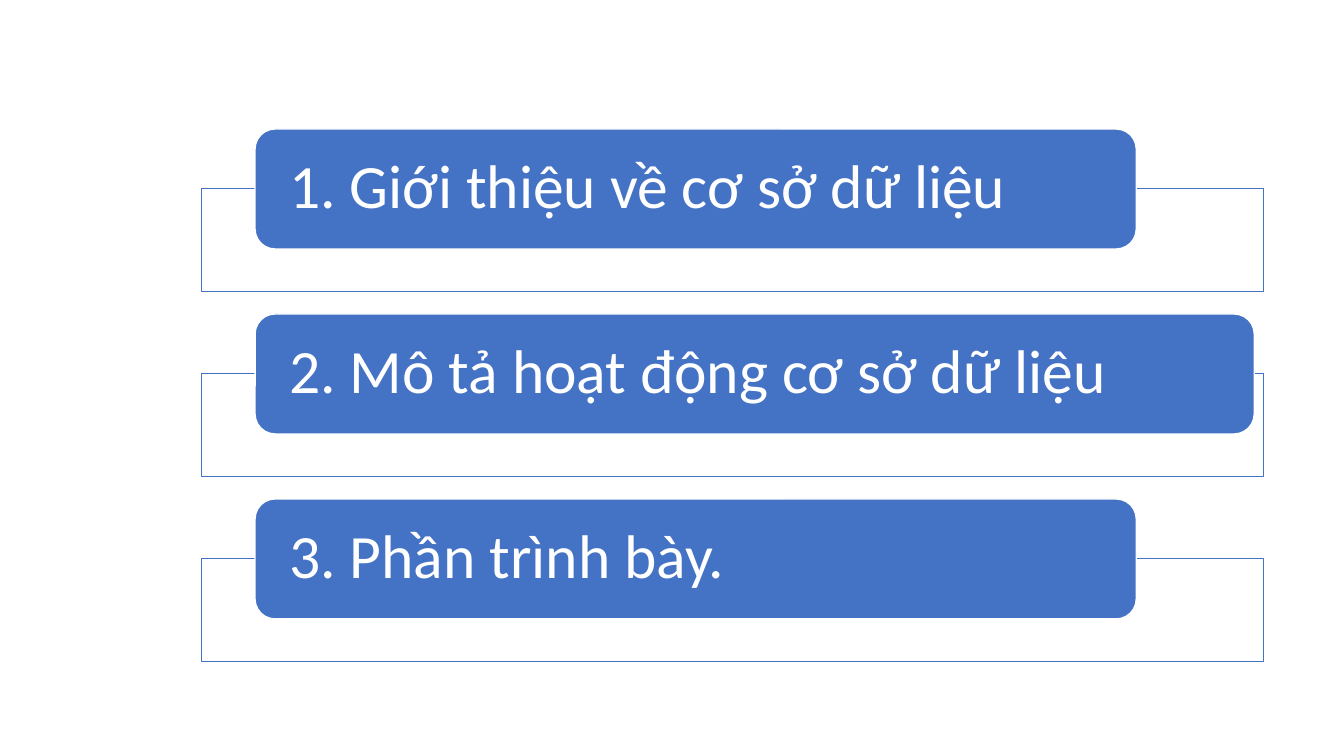
from dataclasses import dataclass

from pptx import Presentation
from pptx.dml.color import RGBColor
from pptx.enum.shapes import MSO_SHAPE
from pptx.enum.text import MSO_ANCHOR, PP_ALIGN
from pptx.shapes.autoshape import Shape
from pptx.slide import Slide
from pptx.util import Inches, Pt

BLUE = "4472C4"
WHITE = "FFFFFF"
FIRST_TOP = 1.28
ROW_STEP = 1.835
FRAME_DROP = 0.59


@dataclass
class Topic:
    text: str
    width: float


TOPICS = [
    Topic("1. Giới thiệu về cơ sở dữ liệu", 8.74),
    Topic("2. Mô tả hoạt động cơ sở dữ liệu", 9.91),
    Topic("3. Phần trình bày.", 8.74),
]


def color(value: str) -> RGBColor:
    return RGBColor.from_string(value)


def add_panel(page: Slide, kind: MSO_SHAPE, left: float, top: float,
              width: float, height: float, fill: str, line: str) -> Shape:
    panel = page.shapes.add_shape(
        kind, Inches(left), Inches(top), Inches(width), Inches(height))
    panel.shadow.inherit = False
    panel.fill.solid()
    panel.fill.fore_color.rgb = color(fill)
    panel.line.color.rgb = color(line)
    panel.line.width = Pt(1)
    return panel


def write_text(box: Shape, text: str, *, size: float, ink: str,
               font: str = "Calibri", inset: float = 0.28) -> None:
    frame = box.text_frame
    frame.word_wrap = True
    frame.vertical_anchor = MSO_ANCHOR.MIDDLE
    frame.margin_left = frame.margin_right = Inches(inset)
    frame.margin_top = frame.margin_bottom = Inches(0)
    para = frame.paragraphs[0]
    para.alignment = PP_ALIGN.LEFT
    para.line_spacing = 0.9
    span = para.add_run()
    span.text = text
    span.font.name = font
    span.font.size = Pt(size)
    span.font.color.rgb = color(ink)


def add_topic(page: Slide, topic: Topic, top: float) -> None:
    add_panel(page, MSO_SHAPE.RECTANGLE, 2, top + FRAME_DROP, 10.53, 1.02,
              WHITE, BLUE)
    label = add_panel(page, MSO_SHAPE.ROUNDED_RECTANGLE, 2.53, top,
                      topic.width, 1.19, BLUE, WHITE)
    write_text(label, topic.text, size=44, ink=WHITE)


deck = Presentation()
deck.slide_width = Inches(13.33)
deck.slide_height = Inches(7.5)
page = deck.slides.add_slide(deck.slide_layouts[6])
for row, topic in enumerate(TOPICS):
    add_topic(page, topic, FIRST_TOP + row * ROW_STEP)
deck.save("out.pptx")
